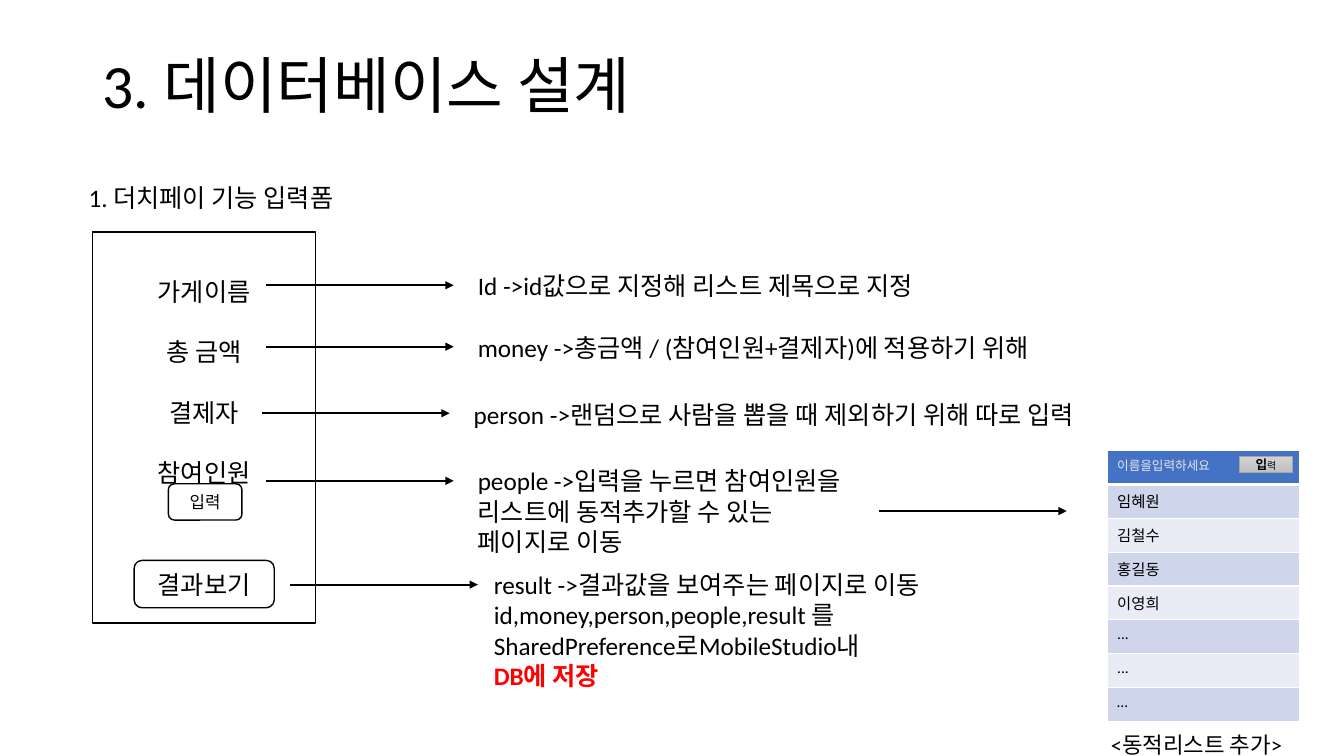
import pptx
import pptx.dml.color
import pptx.enum.shapes
import pptx.enum.text
import pptx.oxml
import pptx.oxml.ns
import pptx.util
from lxml import etree

Inches = pptx.util.Inches
Pt = pptx.util.Pt
SHAPE = pptx.enum.shapes.MSO_SHAPE
ALIGN = pptx.enum.text.PP_ALIGN
ANCHOR = pptx.enum.text.MSO_ANCHOR
qn = pptx.oxml.ns.qn

FONT = "Calibri"
COLORS = {
    "black": "000000", "white": "FFFFFF", "alert": "FF0000",
    "header": "4472C4", "hint": "E7E6E6", "band_dark": "CFD5EA",
    "band_light": "E9EBF5", "button_top": "D2D2D2",
    "button_bottom": "C0C0C0", "button_line": "A5A5A5",
}
ARROW_LENGTH = 1.86

# Left of the box, top, width, height, gap from arrow end to box, arrow's y, lines
FIELD_NOTES = [
    (4.64, 2.63, 5.21, 0.4, 2.83, ["Id ->id값으로 지정해 리스트 제목으로 지정"]),
    (4.64, 3.25, 6.09, 0.4, 3.44, ["money ->총금액 / (참여인원+결제자)에 적용하기 위해"]),
    (4.6, 3.91, 6.56, 0.4, 4.1, ["person ->랜덤으로 사람을 뽑을 때 제외하기 위해 따로 입력"]),
    (4.64, 4.57, 5.21, 1.01, 4.77, ["people ->입력을 누르면 참여인원을",
                                    "리스트에 동적추가할 수 있는", "페이지로 이동"]),
    (4.8, 5.6, 4.84, 1.31, 5.8, ["result ->결과값을 보여주는 페이지로 이동",
                                 "id,money,person,people,result 를 SharedPreference로MobileStudio내",
                                 ("DB에 저장", "alert", True)]),
]
MEMBERS = ["임혜원", "김철수", "홍길동", "이영희", "...", "...", "…"]


def rgb(color):
    return pptx.dml.color.RGBColor.from_string(COLORS[color])


def add_run(paragraph, text, size, color="black", bold=False):
    run = paragraph.add_run()
    run.text = text
    run.font.name = FONT
    run.font.size = Pt(size)
    run.font.bold = bold
    run.font.color.rgb = rgb(color)


def write_lines(frame, lines, size, align=ALIGN.LEFT, gap=0):
    """Write one paragraph per line; a line is text or (text, color, bold)."""
    for index, line in enumerate(lines):
        paragraph = frame.add_paragraph() if index else frame.paragraphs[0]
        paragraph.alignment = align
        if index and gap:
            paragraph.space_before = Pt(gap)
        add_run(paragraph, *([line, size] if isinstance(line, str)
                             else [line[0], size, *line[1:]]))


def add_text(slide, box, lines, size=18):
    frame = slide.shapes.add_textbox(*map(Inches, box)).text_frame
    frame.word_wrap = True
    frame.auto_size = pptx.enum.text.MSO_AUTO_SIZE.SHAPE_TO_FIT_TEXT
    write_lines(frame, lines, size)


def add_box(slide, kind, box, line_color="black", line_width=1):
    shape = slide.shapes.add_shape(kind, *map(Inches, box))
    shape.shadow.inherit = False
    shape.fill.solid()
    shape.fill.fore_color.rgb = rgb("white")
    shape.line.color.rgb = rgb(line_color)
    shape.line.width = Pt(line_width)
    shape.text_frame.word_wrap = True
    shape.text_frame.vertical_anchor = ANCHOR.MIDDLE
    return shape


def add_arrow(slide, left, y):
    arrow = slide.shapes.add_connector(
        pptx.enum.shapes.MSO_CONNECTOR.STRAIGHT,
        Inches(left), Inches(y), Inches(left + ARROW_LENGTH), Inches(y))
    arrow.line.color.rgb = rgb("black")
    arrow.line.width = Pt(1.5)
    etree.SubElement(arrow.line._get_or_add_ln(), qn("a:tailEnd"), type="triangle")
    etree.SubElement(arrow._element.spPr, qn("a:effectLst"))


def add_title(slide, left, top, width, height):
    title = slide.shapes.add_textbox(*map(Inches, (left, top, width, height)))
    frame = title.text_frame
    frame.word_wrap = True
    frame.vertical_anchor = ANCHOR.MIDDLE
    write_lines(frame, ["3. 데이터베이스 설계"], 44)
    frame.paragraphs[0].line_spacing = 0.9


def add_input_form(slide, left, top, width, height):
    form = add_box(slide, SHAPE.RECTANGLE, (left, top, width, height))
    form.text_frame.margin_bottom = Inches(0.95)
    write_lines(form.text_frame, ["가게이름", "총 금액", "결제자", "참여인원"],
                18, ALIGN.CENTER, gap=21.6)
    for label, size, dx, dy, w, h in [("입력", 12, 0.75, 2.5, 0.73, 0.36),
                                      ("결과보기", 18, 0.41, 3.26, 1.39, 0.47)]:
        button = add_box(slide, SHAPE.ROUNDED_RECTANGLE, (left + dx, top + dy, w, h))
        write_lines(button.text_frame, [label], size, ALIGN.CENTER)


def add_field_notes(slide):
    for left, top, width, height, arrow_y, lines in FIELD_NOTES:
        add_arrow(slide, left - 2, arrow_y) if left < 4.8 else add_arrow(slide, 2.88, arrow_y)
        add_text(slide, (left, top, width, height), lines)


def style_cell(cell, fill, bottom_width):
    properties = cell._tc.get_or_add_tcPr()
    for side in ("lnL", "lnR", "lnT", "lnB"):
        width = bottom_width if side == "lnB" else 1
        border = etree.SubElement(properties, qn("a:" + side), w=str(Pt(width)))
        solid = etree.SubElement(border, qn("a:solidFill"))
        etree.SubElement(solid, qn("a:srgbClr"), val=COLORS["white"])
    cell.fill.solid()
    cell.fill.fore_color.rgb = rgb(fill)


def add_member_list(slide, left, top, width, row_height):
    rows = [("이름을입력하세요", 9, "hint", "header", 3)]
    rows += [(name, 11, "black", ("band_dark", "band_light")[index % 2], 1)
             for index, name in enumerate(MEMBERS)]
    table = slide.shapes.add_table(
        len(rows), 1, Inches(left), Inches(top), Inches(width),
        Inches(row_height * len(rows))).table
    for index, (text, size, color, fill, bottom_width) in enumerate(rows):
        table.rows[index].height = Inches(row_height)
        cell = table.cell(index, 0)
        style_cell(cell, fill, bottom_width)
        # The second row's top edge is the header's thick rule
        if index == 1:
            cell._tc.tcPr.find(qn("a:lnT")).set("w", str(Pt(3)))
        add_run(cell.text_frame.paragraphs[0], text, size, color)

    button = add_box(slide, SHAPE.RECTANGLE, (left + 1.31, top + 0.06, 0.53, 0.16),
                     "button_line", 0.5)
    button.fill.gradient()
    button.fill.gradient_angle = 270
    for stop, color in zip(button.fill.gradient_stops, ("button_top", "button_bottom")):
        stop.color.rgb = rgb(color)
    paragraph = button.text_frame.paragraphs[0]
    paragraph.alignment = ALIGN.CENTER
    add_run(paragraph, "입", 9, bold=True)
    add_run(paragraph, "력", 7)
    add_text(slide, (left - 0.06, top + 2.73, 2.27, 0.37), ["<동적리스트 추가>"], 16)


def main():
    deck = pptx.Presentation()
    deck.slide_width, deck.slide_height = Inches(13.33), Inches(7.5)
    slide = deck.slides.add_slide(deck.slide_layouts[6])
    add_title(slide, 0.92, 0.4, 11.5, 0.96)
    add_text(slide, (0.78, 1.76, 3, 0.4), ["1. 더치페이 기능 입력폼"])
    add_input_form(slide, 0.92, 2.3, 2.21, 3.88)
    add_field_notes(slide)
    add_arrow(slide, 8.72, 5.07)
    add_member_list(slide, 10.98, 4.47, 1.91, 0.336)
    deck.save("out.pptx")


if __name__ == "__main__":
    main()
